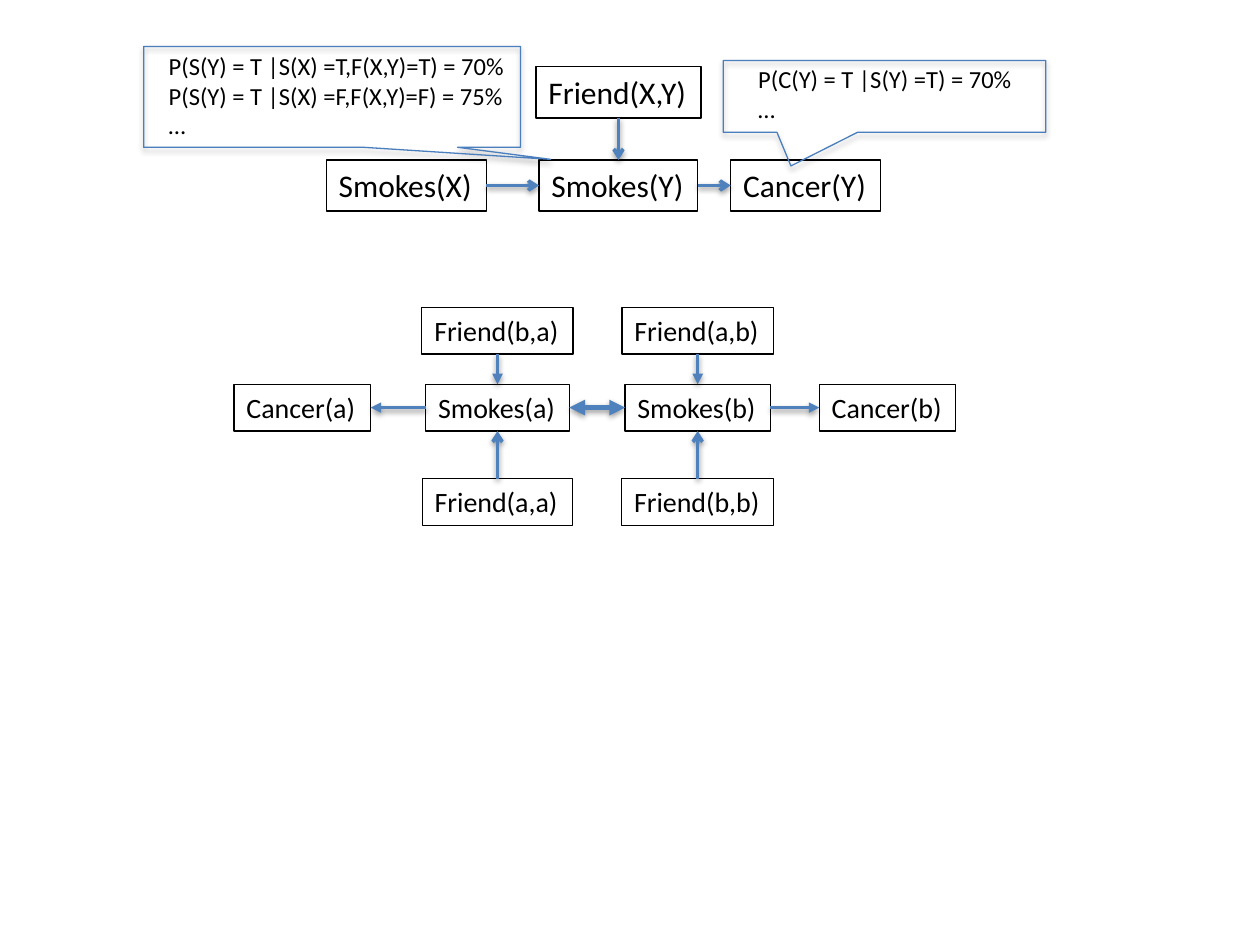
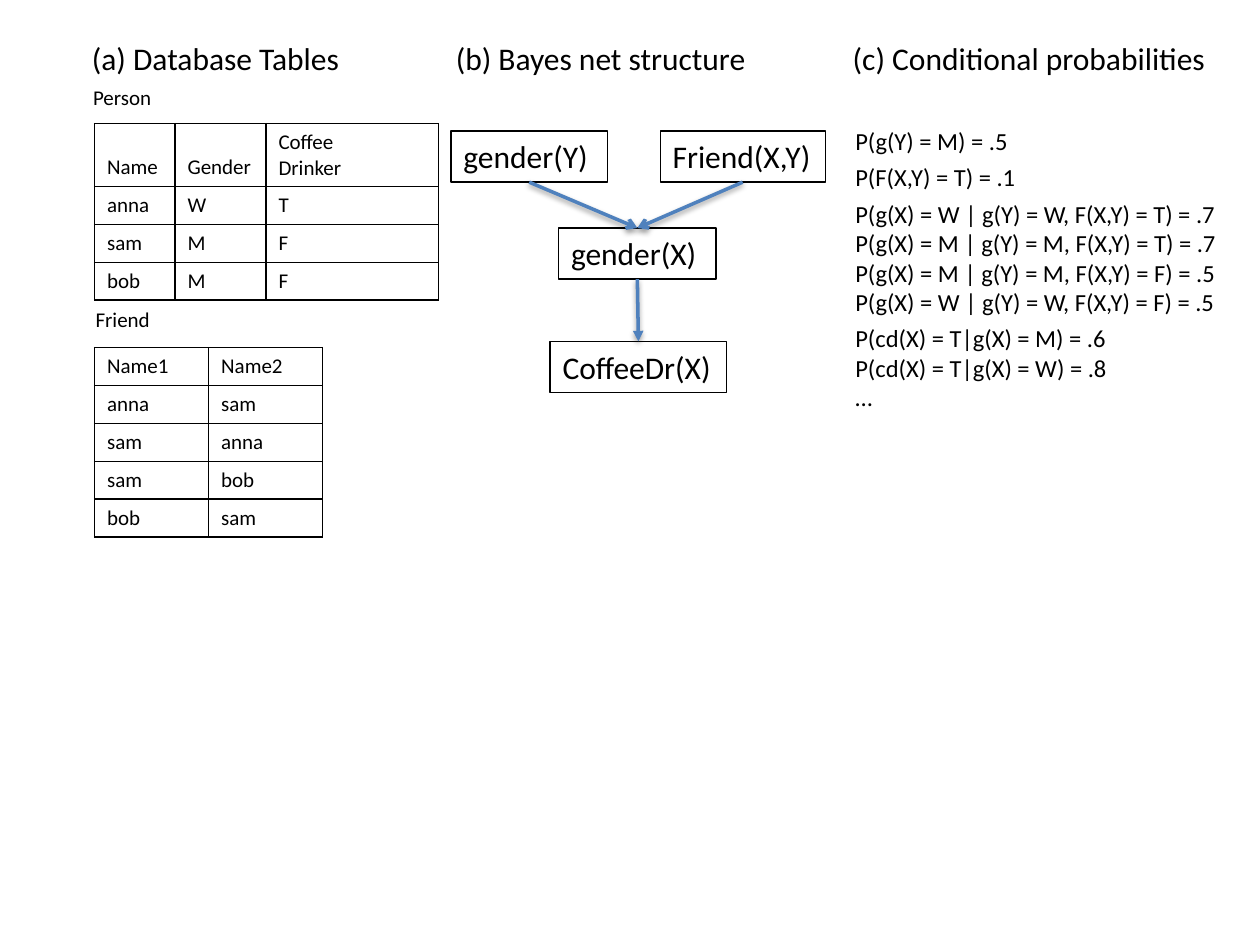
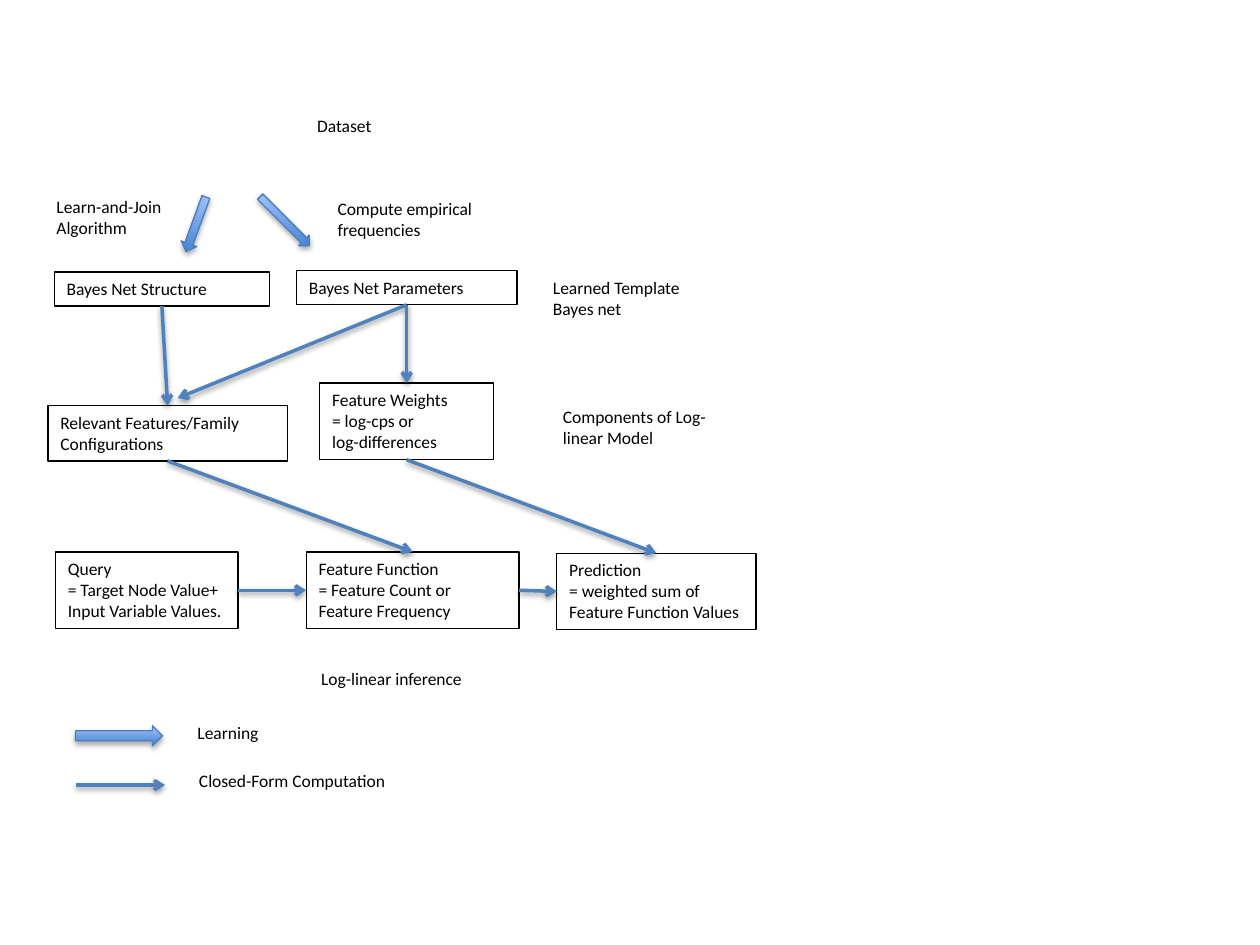
from lxml.etree import SubElement
from pptx import Presentation
from pptx.dml.color import RGBColor as RGB
from pptx.enum.shapes import MSO_CONNECTOR as CONN, MSO_SHAPE as SHAPE
from pptx.enum.text import MSO_ANCHOR as ANCHOR, MSO_AUTO_SIZE as AUTO
from pptx.oxml.ns import qn
from pptx.util import Pt

FONT = "Calibri"
COLORS = {"text": "000000", "arrow": "4F81BD", "outline": "4B7EBC",
          "dark": "3F80CE", "light": "A4C4FF"}
C = {name: RGB.from_string(value) for name, value in COLORS.items()}


def write(tf, text, size=10, gaps=()):
    """Fill a text frame: \n starts a paragraph, \v a line; gaps lists spaced paragraphs."""
    tf.text = text
    for i, p in enumerate(tf.paragraphs):
        if i in gaps:
            p.space_before = Pt(4)
        for r in p.runs:
            r.font.name, r.font.size = FONT, Pt(size)
            r.font.color.rgb = C["text"]
        for br in p._p.findall(qn("a:br")):
            SubElement(br, qn("a:rPr"), sz=str(size * 100))


def add_text(s, text, x, y, w, lines=1, size=10, wrap=True, boxed=False, gaps=()):
    h = round(lines * size * 1.22 + 7.2, 1)
    sp = s.shapes.add_textbox(Pt(x), Pt(y), Pt(w), Pt(h))
    write(sp.text_frame, text, size, gaps)
    sp.text_frame.word_wrap = wrap
    sp.text_frame.auto_size = AUTO.SHAPE_TO_FIT_TEXT
    if boxed:
        sp.line.color.rgb, sp.line.width = C["text"], Pt(0.75)
    return sp


prs = Presentation()
prs.slide_width, prs.slide_height = Pt(720), Pt(540)
smokers, bayes, pipeline = [prs.slides.add_slide(prs.slide_layouts[6]) for _ in range(3)]

# Networks: nodes are (text, centre x, top, width, lines); link ends are
# (node, side) or a point (x, y), followed by the arrowhead and "both ends"
TOP, LEFT, BOTTOM, RIGHT = range(4)
ROW, FROM_ABOVE, FROM_BELOW = 219.6, 175.7, 273.6
COL_A, COL_B = 284.3, 398.7
networks = [
    # Template network
    (smokers, 18, False, [
        ("Smokes(X)", 232.2, 91.4, 91.4, 1),
        ("Smokes(Y)", 353.4, 91.4, 90.7, 1),
        ("Cancer(Y)", 460.4, 91.4, 85.7, 1),
        ("Friend(X,Y)", 353.4, 38.2, 94.3, 1),
    ], [
        (("Friend(X,Y)", BOTTOM), ("Smokes(Y)", TOP), "arrow", False),
        (("Smokes(X)", RIGHT), ("Smokes(Y)", LEFT), "arrow", False),
        (("Smokes(Y)", RIGHT), ("Cancer(Y)", LEFT), "arrow", False),
    ]),
    # Ground network
    (smokers, 16, False, [
        ("Cancer(a)", 172.8, ROW, 78, 1),
        ("Smokes(a)", COL_A, ROW, 82, 1),
        ("Smokes(b)", COL_B, ROW, 83, 1),
        ("Cancer(b)", 507.2, ROW, 78, 1),
        ("Friend(b,a)", COL_A, FROM_ABOVE, 86.4, 1),
        ("Friend(a,b)", COL_B, FROM_ABOVE, 86.4, 1),
        ("Friend(a,a)", COL_A, FROM_BELOW, 86, 1),
        ("Friend(b,b)", COL_B, FROM_BELOW, 87, 1),
    ], [
        (("Smokes(a)", RIGHT), ("Smokes(b)", LEFT), "triangle", True),
        (("Friend(b,a)", BOTTOM), ("Smokes(a)", TOP), "triangle", False),
        (("Friend(a,b)", BOTTOM), ("Smokes(b)", TOP), "triangle", False),
        (("Smokes(b)", RIGHT), ("Cancer(b)", LEFT), "triangle", False),
        (("Smokes(a)", LEFT), ("Cancer(a)", RIGHT), "triangle", False),
        (("Friend(a,a)", TOP), ("Smokes(a)", BOTTOM), "arrow", False),
        (("Friend(b,b)", TOP), ("Smokes(b)", BOTTOM), "arrow", False),
    ]),
    # Bayes net structure
    (bayes, 18, False, [
        ("gender(Y)", 302.4, 74.9, 89.3, 1),
        ("Friend(X,Y)", 424.4, 74.9, 94.3, 1),
        ("gender(X)", 364.2, 130.3, 90, 1),
        ("CoffeeDr(X)", 364.8, 195.1, 100.8, 1),
    ], [
        (("gender(Y)", BOTTOM), ("gender(X)", TOP), "arrow", False),
        (("Friend(X,Y)", BOTTOM), ("gender(X)", TOP), "arrow", False),
        (("gender(X)", BOTTOM), ("CoffeeDr(X)", TOP), "triangle", False),
    ]),
    # Learning and inference pipeline, with the legend line last
    (pipeline, 10, True, [
        ("Bayes Net Structure", 92.5, 155.5, 123, 1),
        ("Bayes Net Parameters", 232.4, 154.8, 126, 1),
        ("Relevant Features/Family Configurations", 95.8, 231.8, 136.8, 2),
        ("Feature Weights\v= log-cps or\vlog-differences", 232.4, 218.9, 99.4, 3),
        ("Query\v= Target Node Value+\vInput Variable Values.", 83.9, 315.4, 104.4, 3),
        ("Feature Function\v= Feature Count or\vFeature Frequency", 235.8, 315.4, 121.7, 3),
        ("Prediction\v= weighted sum of\vFeature Function Values", 375.1, 316.1, 113.8, 3),
    ], [
        (("Bayes Net Structure", BOTTOM),
         ("Relevant Features/Family Configurations", TOP), "arrow", False),
        (("Bayes Net Parameters", BOTTOM), (101.5, 227.5), "arrow", False),
        (("Bayes Net Parameters", BOTTOM), ("Feature Weights", TOP), "arrow", False),
        (("Relevant Features/Family Configurations", BOTTOM),
         ("Feature Function", TOP), "arrow", False),
        (("Query", RIGHT), ("Feature Function", LEFT), "arrow", False),
        (("Feature Weights", BOTTOM), ("Prediction", TOP), "arrow", False),
        (("Feature Function", RIGHT), ("Prediction", LEFT), "arrow", False),
        ((43.5, 448.6), (94.3, 448.6), "arrow", False),
    ]),
]
for s, size, wrap, nodes, links in networks:
    boxes = {}
    for text, center, y, w, lines in nodes:
        boxes[text.split("\v")[0]] = add_text(
            s, text, center - w / 2, y, w, lines, size=size, wrap=wrap, boxed=True)
    for begin, end, tip, both in links:
        c = s.shapes.add_connector(CONN.STRAIGHT, 0, 0, 0, 0)
        if begin[0] in boxes:
            c.begin_connect(boxes[begin[0]], begin[1])
        else:
            c.begin_x, c.begin_y = Pt(begin[0]), Pt(begin[1])
        if end[0] in boxes:
            c.end_connect(boxes[end[0]], end[1])
        else:
            c.end_x, c.end_y = Pt(end[0]), Pt(end[1])
        c.line.color.rgb, c.line.width = C["arrow"], Pt(3 if both else 2)
        for tag in ("a:headEnd", "a:tailEnd") if both else ("a:tailEnd",):
            SubElement(c.get_or_add_ln(), qn(tag), type=tip)

# Slide 1: callouts, with the theme's soft shadow
for x, y, w, h, tip_x, tip_y in [(413.3, 34.6, 184.3, 41, -0.29, 0.97),
                                 (82.1, 26.6, 215.3, 57.6, 0.58, 0.62)]:
    sp = smokers.shapes.add_shape(SHAPE.RECTANGULAR_CALLOUT, Pt(x), Pt(y), Pt(w), Pt(h))
    sp.adjustments[0], sp.adjustments[1] = tip_x, tip_y
    sp.fill.background()
    sp.line.color.rgb, sp.line.width = C["outline"], Pt(0.75)
add_text(smokers, "P(C(Y) = T |S(Y) =T) = 70%\n…", 426.2, 33.1, 162.7, 2, size=14)
add_text(smokers, "P(S(Y) = T |S(X) =T,F(X,Y)=T) = 70%\n"
         "P(S(Y) = T |S(X) =F,F(X,Y)=F) = 75%\n…", 89.3, 25.9, 215.3, 3, size=14)

# Slide 2: column headings
for text, x, w in [("(a) Database Tables", 45.4, 159),
                   ("(b) Bayes net structure", 253.4, 183),
                   ("(c) Conditional probabilities", 480.2, 218)]:
    add_text(bayes, text, x, 18.7, w, size=18, wrap=False)

# Slide 2: tables with their names
add_text(bayes, "Person", 46.1, 44.6, 112.3, size=12)
add_text(bayes, "Friend", 47.5, 171.4, 92.2, size=12)
tables = [
    (70.6, [46, 52, 98.5], [36, 21.6, 21.6, 21.6],
     [("Name", "Gender", "Coffee\vDrinker"),
      ("anna", "W", "T"), ("sam", "M", "F"), ("bob", "M", "F")]),
    (198.7, [65.2] * 2, [21.6] * 5,
     [("Name1", "Name2"), ("anna", "sam"), ("sam", "anna"), ("sam", "bob"), ("bob", "sam")]),
]
for y, widths, heights, rows in tables:
    tbl = bayes.shapes.add_table(len(rows), len(widths), Pt(54), Pt(y),
                                 Pt(sum(widths)), Pt(sum(heights))).table
    tbl.first_row = tbl.horz_banding = False
    for column, w in zip(tbl.columns, widths):
        column.width = Pt(w)
    for i, (values, h) in enumerate(zip(rows, heights)):
        tbl.rows[i].height = Pt(h)
        for j, value in enumerate(values):
            cell = tbl.cell(i, j)
            write(cell.text_frame, value, size=12)
            cell.vertical_anchor = ANCHOR.TOP if i else ANCHOR.BOTTOM
            for tag in ("a:lnL", "a:lnR", "a:lnT", "a:lnB"):
                ln = SubElement(cell._tc.get_or_add_tcPr(), qn(tag), w=str(Pt(1)))
                SubElement(SubElement(ln, qn("a:solidFill")), qn("a:srgbClr"),
                           val=COLORS["text"])
            cell.fill.background()

# Slide 2: probabilities
add_text(bayes, "\n".join([
    "P(g(Y) = M) = .5",
    "P(F(X,Y) = T) = .1",
    "P(g(X) = W | g(Y) = W, F(X,Y) = T) = .7",
    "P(g(X) = M | g(Y) = M, F(X,Y) = T) = .7",
    "P(g(X) = M | g(Y) = M, F(X,Y) = F) = .5",
    "P(g(X) = W | g(Y) = W, F(X,Y) = F) = .5",
    "P(cd(X) = T|g(X) = M) = .6",
    "P(cd(X) = T|g(X) = W) = .8",
    "…"]), 481.7, 68.4, 224, 9, size=14, gaps=(1, 2, 6))

# Slide 3: labels
for text, x, y, w, lines in [
        ("Dataset", 174.2, 61.9, 78.5, 1),
        ("Learn-and-Join Algorithm", 25.2, 108.7, 97.9, 2),
        ("Compute empirical frequencies", 185.8, 109.4, 119.5, 2),
        ("Learned Template Bayes net", 308.9, 154.8, 109.4, 2),
        ("Components of Log-linear Model", 314.6, 228.2, 110.9, 2),
        ("Log-linear inference", 176.4, 378, 146.9, 1),
        ("Learning", 105.8, 409, 74.2, 1),
        ("Closed-Form Computation", 106.6, 436.3, 159.8, 1)]:
    add_text(pipeline, text, x, y, w, lines)

# Slide 3: learning arrows
for kind, x, y, w, h, angle in [
        (SHAPE.DOWN_ARROW, 158.4, 106.6, 8.6, 39.6, 315),
        (SHAPE.DOWN_ARROW, 107.3, 111.6, 9.4, 33.1, 20),
        (SHAPE.RIGHT_ARROW, 43.2, 414.7, 49.7, 11.5, 0)]:
    sp = pipeline.shapes.add_shape(kind, Pt(x), Pt(y), Pt(w), Pt(h))
    sp.rotation = angle
    sp.fill.gradient()
    sp.fill.gradient_angle = 90
    for stop, name in zip(sp.fill.gradient_stops, ("dark", "light")):
        stop.color.rgb = C[name]
    sp.line.color.rgb, sp.line.width = C["outline"], Pt(0.75)

prs.save("out.pptx")
